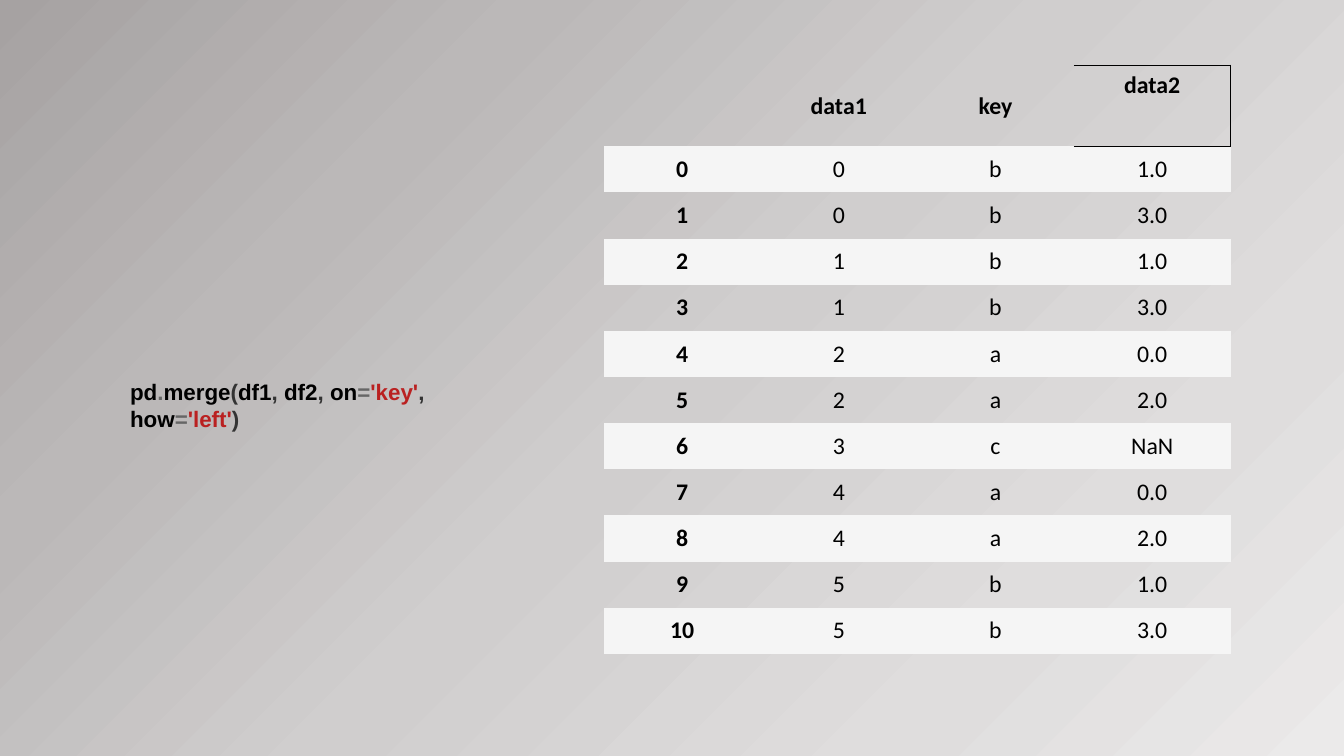
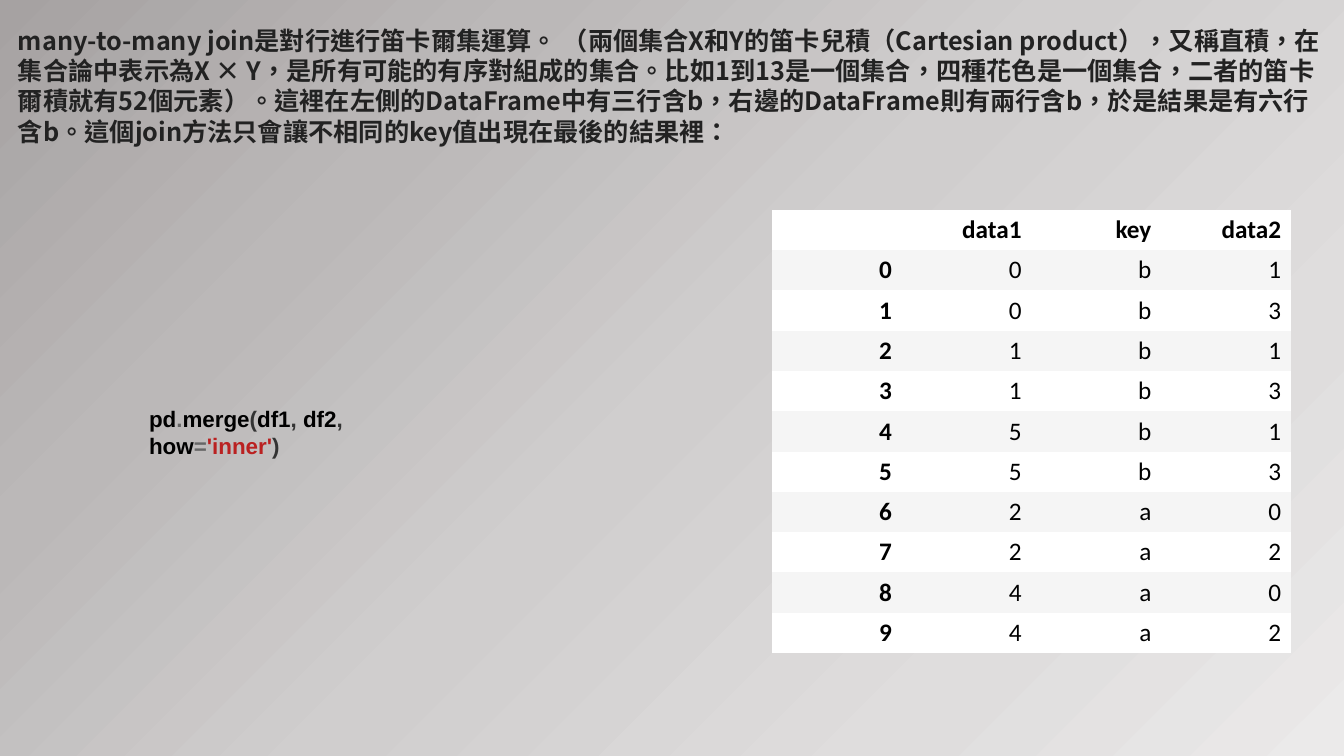
import pptx
import pptx.dml.color
import pptx.enum.lang
import pptx.enum.text
import pptx.oxml
import pptx.oxml.ns
import pptx.util
import lxml.etree

BACKGROUND_STOPS = [(0, "A6A2A2"), (26, "BBB8B8"), (51, "D0CECE"), (78, "DFDDDD"), (100, "EBEAEA")]
NO_GRID_STYLE = "{2D5ABB26-0587-4C30-8999-92F81FD0307C}"
BLACK = "000000"
STRIPE = "F5F5F5"
TOKEN_COLORS = {"(": "333333", ")": "333333", ", ": "333333", ".": "666666", "=": "666666"}
STRING_COLOR = "BA2121"
CENTER = pptx.enum.text.PP_ALIGN.CENTER
RIGHT = pptx.enum.text.PP_ALIGN.RIGHT
MIDDLE = pptx.enum.text.MSO_ANCHOR.MIDDLE
TOP = pptx.enum.text.MSO_ANCHOR.TOP
qn = pptx.oxml.ns.qn

deck = pptx.Presentation()
deck.slide_width = pptx.util.Inches(13.33)
deck.slide_height = pptx.util.Inches(7.5)


def color(value):
    return pptx.dml.color.RGBColor.from_string(value)


def area(left, top, width, height):
    column, row = deck.slide_width / 100, deck.slide_height / 100
    return [pptx.util.Emu(round(length)) for length in (left * column, top * row, width * column, height * row)]


background = deck.slide_master.background.fill
background.gradient()
background.gradient_angle = 315
stop_list = deck.slide_master.element.find(".//" + qn("a:gsLst"))
for stop in list(stop_list):
    stop_list.remove(stop)
for position, value in BACKGROUND_STOPS:
    stop = lxml.etree.SubElement(stop_list, qn("a:gs"), pos=str(position * 1000))
    lxml.etree.SubElement(stop, qn("a:srgbClr"), val=value)

pages = [
    {
        "code": ["pd", ".", "merge", "(", "df1", ", ", "df2", ", ", "on", "=", "'key'", ", ",
                 "how", "=", "'left'", ")"],
        "code_area": (9.68, 51.73, 25.8, 3.6),
        "rows": ["0 0 b 1.0", "1 0 b 3.0", "2 1 b 1.0", "3 1 b 3.0", "4 2 a 0.0", "5 2 a 2.0",
                 "6 3 c NaN", "7 4 a 0.0", "8 4 a 2.0", "9 5 b 1.0", "10 5 b 3.0"],
        "table_area": (44.92, 8.67, 46.65, 77.87),
        "header_height": 10.67,
        "size": 17,
        "align": CENTER,
        "margin": 0.05,
        "plain_fill": None,
    },
    {
        "code": ["pd", ".", "merge", "(", "df1", ", ", "df2", ", ", "how", "=", "'inner'", ")"],
        "code_area": (11.1, 55.33, 20.78, 3.6),
        "rows": ["0 0 b 1", "1 0 b 3", "2 1 b 1", "3 1 b 3", "4 5 b 1", "5 5 b 3",
                 "6 2 a 0", "7 2 a 2", "8 4 a 0", "9 4 a 2"],
        "table_area": (57.45, 27.73, 38.62, 58.67),
        "header_height": 5.33,
        "size": 18,
        "align": RIGHT,
        "margin": 0.04,
        "plain_fill": "FFFFFF",
    },
]

tables = []
for content in pages:
    page = deck.slides.add_slide(deck.slide_layouts[6])

    frame = page.shapes.add_textbox(*area(*content["code_area"])).text_frame
    frame.word_wrap = True
    frame.vertical_anchor = MIDDLE
    frame.margin_left = frame.margin_top = frame.margin_right = frame.margin_bottom = 0
    for token in content["code"]:
        span = frame.paragraphs[0].add_run()
        span.text = token
        span.font.name = "Arial"
        span.font.size = pptx.util.Pt(16)
        span.font.bold = True
        token_color = STRING_COLOR if token.startswith("'") else TOKEN_COLORS.get(token, BLACK)
        span.font.color.rgb = color(token_color)

    grid = [["", "data1", "key", "data2"]] + [row.split() for row in content["rows"]]
    left, top, width, height = area(*content["table_area"])
    table_frame = page.shapes.add_table(len(grid), len(grid[0]), left, top, width, height)
    table_frame.element.find(".//" + qn("a:tableStyleId")).text = NO_GRID_STYLE
    table = table_frame.table
    tables.append(table)
    header_height = area(0, 0, 0, content["header_height"])[3]
    for row_index, values in enumerate(grid):
        table.rows[row_index].height = (
            (height - header_height) // (len(grid) - 1) if row_index else header_height
        )
        for column_index, value in enumerate(values):
            cell = table.cell(row_index, column_index)
            cell.vertical_anchor = MIDDLE
            cell.margin_top = cell.margin_bottom = pptx.util.Inches(content["margin"])
            fill = STRIPE if row_index % 2 else content["plain_fill"]
            if fill:
                cell.fill.solid()
                cell.fill.fore_color.rgb = color(fill)
            else:
                cell.fill.background()
            para = cell.text_frame.paragraphs[0]
            para.text = value
            para.alignment = content["align"]
            for span in para.runs:
                span.font.name = "Calibri"
                span.font.size = pptx.util.Pt(content["size"])
                span.font.bold = row_index == 0 or column_index == 0
                span.font.color.rgb = color(BLACK)

added_header = tables[0].cell(0, 3)
added_header.vertical_anchor = TOP
properties = added_header.text_frame._txBody.getparent().find(qn("a:tcPr"))
for index, (side, points) in enumerate([("a:lnR", 1), ("a:lnT", 1.5), ("a:lnB", 1)]):
    border = lxml.etree.Element(qn(side), w=str(pptx.util.Pt(points)))
    border_fill = lxml.etree.SubElement(border, qn("a:solidFill"))
    lxml.etree.SubElement(border_fill, qn("a:srgbClr"), val=BLACK)
    properties.insert(index, border)

frame = deck.slides[1].shapes.add_textbox(*area(0.6, 2.67, 99.4, 17.47)).text_frame
frame.word_wrap = True
para = frame.paragraphs[0]
para.text = (
    "many-to-many join是對行進行笛卡爾集運算。 （兩個集合X和Y的笛卡兒積（Cartesian product），又稱直積，"
    "在集合論中表示為X × Y，是所有可能的有序對組成的集合。比如1到13是一個集合，四種花色是一個集合，"
    "二者的笛卡爾積就有52個元素）。這裡在左側的DataFrame中有三行含b，右邊的DataFrame則有兩行含b，"
    "於是結果是有六行含b。這個join方法只會讓不相同的key值出現在最後的結果裡："
)
para.line_spacing = pptx.util.Pt(21.6)
span = para.runs[0]
span.font.size = pptx.util.Pt(18)
span.font.bold = True
span.font.color.rgb = color("222222")
span.font.name = "Noto Sans CJK SC"
span.font.language_id = pptx.enum.lang.MSO_LANGUAGE_ID.TRADITIONAL_CHINESE
latin = span.font._element.find(qn("a:latin"))
latin.addnext(lxml.etree.Element(qn("a:ea"), typeface="Noto Sans CJK SC"))

deck.save("out.pptx")
